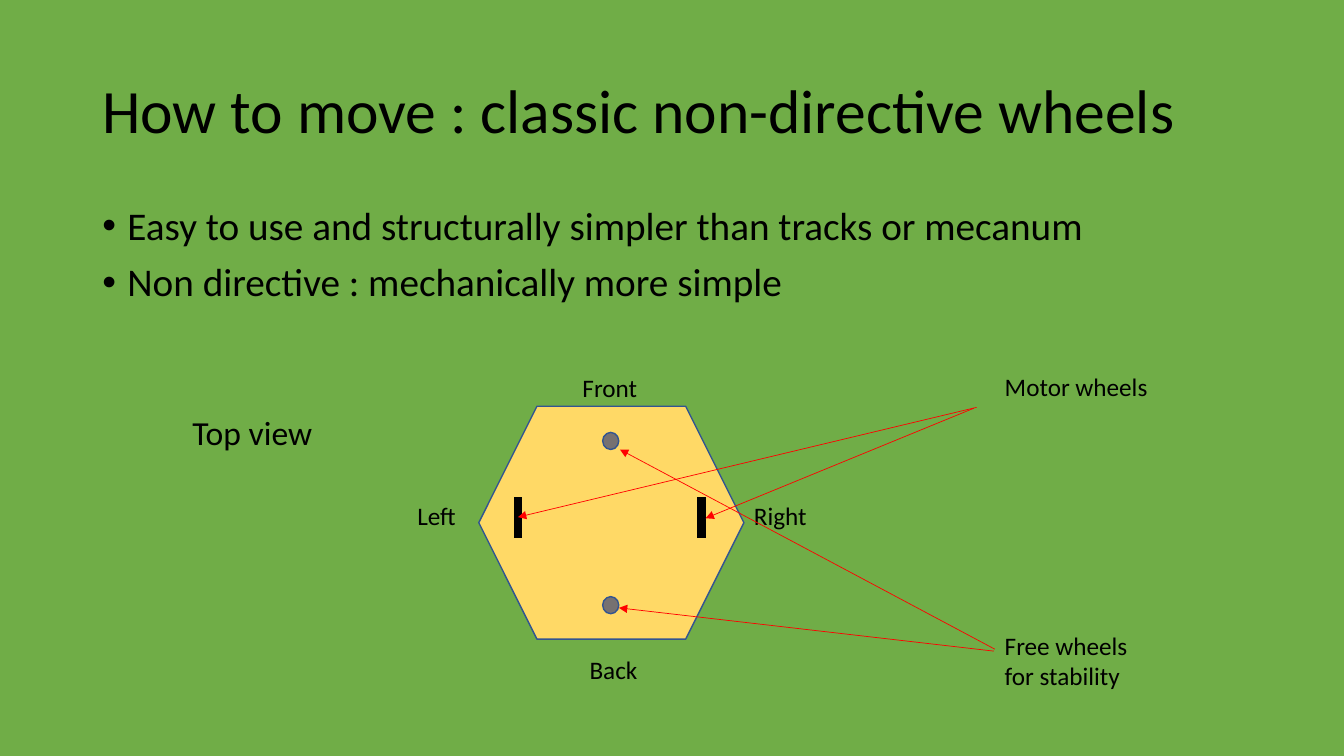
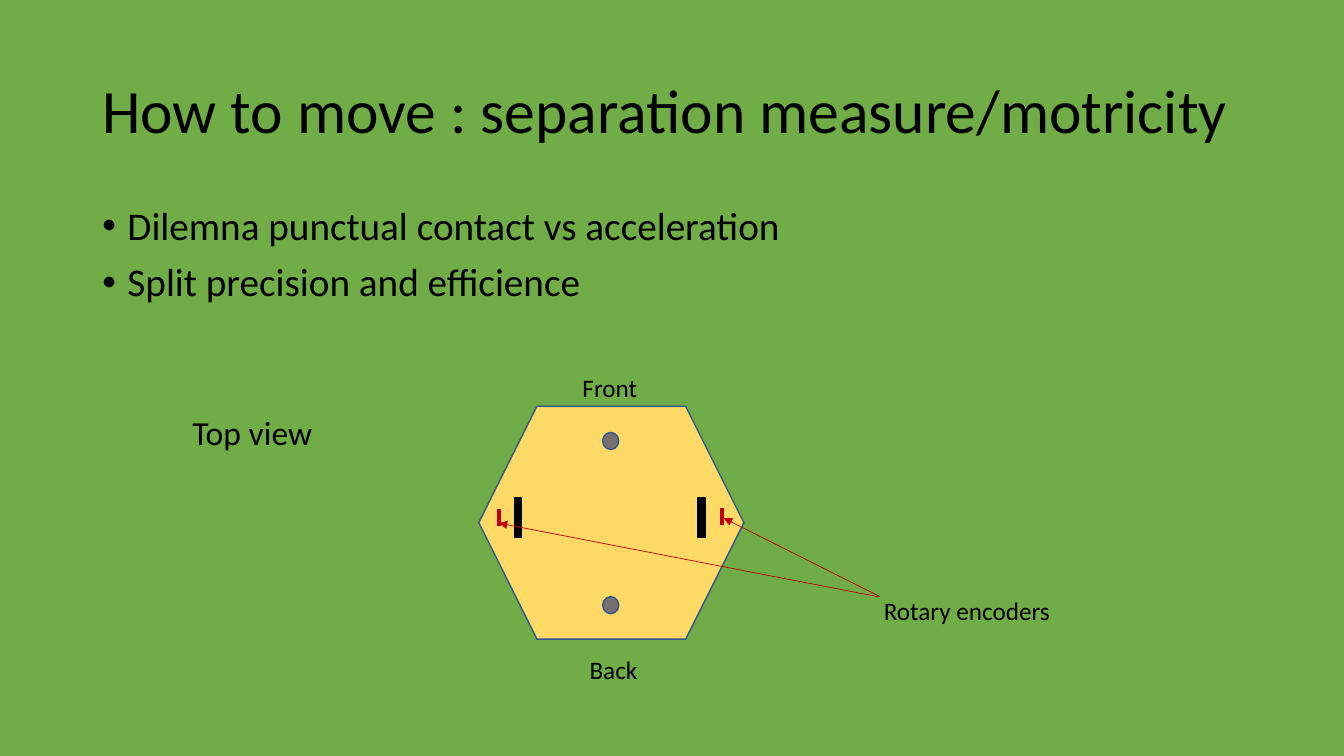
import pptx
import pptx.util
import pptx.dml.color
import pptx.enum.shapes
import pptx.enum.text
import pptx.oxml
import pptx.oxml.ns
import lxml.etree

Pt = pptx.util.Pt
qn = pptx.oxml.ns.qn
KIND = pptx.enum.shapes.MSO_SHAPE
FONT = "Calibri"
COLORS = {"back": "70AD47", "text": "000000", "body": "FFD966", "edge": "325491",
          "ball": "767171", "wheel": "000000", "arrow": "FF0000", "coder": "C00000"}
TITLE = (66, 29, 828, 104.4)
LIST = (66, 144, 828, 342.7)
ROBOT = (342, 290.2, 189.4, 166.3)


def color(name):
    """Return the named colour."""
    return pptx.dml.color.RGBColor.from_string(COLORS[name])


def text(slide, box, lines, size):
    """Add a wrapped text box and return its frame."""
    frame = slide.shapes.add_textbox(*map(Pt, box)).text_frame
    frame.word_wrap = True
    frame.text = lines
    for par in frame.paragraphs:
        for run in par.runs:
            run.font.size = Pt(size)
            run.font.name = FONT
            run.font.color.rgb = color("text")
    return frame


def shape(slide, kind, box, fill):
    """Add a filled shape with the shared outline."""
    part = slide.shapes.add_shape(kind, *map(Pt, box))
    part.shadow.inherit = False
    part.fill.solid()
    part.fill.fore_color.rgb = color(fill)
    part.line.color.rgb = color("edge")
    part.line.width = Pt(1)


def line(slide, start, end, name, width, head=False):
    """Add a straight line, with an arrowhead at its end if asked."""
    part = slide.shapes.add_connector(
        pptx.enum.shapes.MSO_CONNECTOR.STRAIGHT, *map(Pt, (*start, *end)))
    part.line.color.rgb = color(name)
    part.line.width = Pt(width)
    props = part._element.spPr
    if head:
        lxml.etree.SubElement(props.find(qn("a:ln")), qn("a:tailEnd"), type="triangle")
    lxml.etree.SubElement(props, qn("a:effectLst"))


def title(slide, box, words):
    """Add the slide title."""
    frame = text(slide, box, words, 44)
    frame.vertical_anchor = pptx.enum.text.MSO_ANCHOR.MIDDLE
    frame.paragraphs[0].line_spacing = 0.9


def bullets(slide, box, items):
    """Add the bulleted list."""
    for par in text(slide, box, "\n".join(items), 28).paragraphs:
        par.line_spacing = 0.9
        par.space_before = Pt(10)
        props = par._p.get_or_add_pPr()
        props.set("marL", str(Pt(18)))
        props.set("indent", str(-Pt(18)))
        lxml.etree.SubElement(props, qn("a:buFont"), typeface="Arial")
        lxml.etree.SubElement(props, qn("a:buChar"), char="\u2022")


def robot(slide, box, sides):
    """Draw the robot from above, with its wheels and labels."""
    left, top, wide, high = box
    shape(slide, KIND.HEXAGON, box, "body")
    for dx in (28, 159):
        line(slide, (left + dx, top + 65), (left + dx, top + 94.4), "wheel", 6)
    for dy in (18.7, 136):
        shape(slide, KIND.OVAL, (left + 88.5, top + dy, 11.5, 12.2), "ball")
    labels = [("Front", 67, -28, 122.4, 18), ("Back", 72, high + 7.2, 111.6, 18),
              ("Top view", -211.7, 0.7, 136.8, 24)]
    if sides:
        labels += [("Left", -51, 64, 130.3, 18), ("Right", wide, 64, 79.9, 18)]
    for words, dx, dy, span, size in labels:
        text(slide, (left + dx, top + dy, span, size * 1.6), words, size)


def coders(slide, box):
    """Mark the rotary encoders on the robot."""
    left, top = box[:2]
    for dx, dy in ((173.5, 72.7), (14.4, 73.4)):
        line(slide, (left + dx, top + dy), (left + dx, top + dy + 12.2), "coder", 3)


def note(slide, box, goal, words, name, ends):
    """Add a label with arrows from its box to points in the goal box."""
    for start, tip in ends:
        line(slide, (box[0] + start[0], box[1] + start[1]),
             (goal[0] + tip[0], goal[1] + tip[1]), name, 0.5, True)
    text(slide, box, words, 18)


def page(deck, head, items, sides=False):
    """Add a slide with title, list and robot."""
    slide = deck.slides.add_slide(deck.slide_layouts[6])
    title(slide, TITLE, head)
    bullets(slide, LIST, items)
    robot(slide, ROBOT, sides)
    return slide


def wheels(deck):
    """Build the slide on the wheels."""
    slide = page(deck, "How to move : classic non-directive wheels",
                 ["Easy to use and structurally simpler than tracks or mecanum",
                  "Non directive : mechanically more simple"], True)
    note(slide, (710.6, 262, 164.2, 28.8), ROBOT, "Motor wheels", "arrow",
         [((-15, 29.6), (162, 80)), ((-13, 29), (28, 79.2))])
    note(slide, (710.6, 446.4, 111.6, 51.1), ROBOT, "Free wheels for stability", "arrow",
         [((0, 17.3), (100.8, 30.9)), ((-0.7, 18.7), (100.1, 144))])


def split(deck):
    """Build the slide on measure and motricity."""
    slide = page(deck, "How to move : separation measure/motricity",
                 ["Dilemna punctual contact vs acceleration",
                  "Split precision and efficience"])
    coders(slide, ROBOT)
    note(slide, (624.2, 421.9, 176.4, 28.8), ROBOT, "Rotary encoders", "coder",
         [((2.9, 4.3), (14.4, 83.5)), ((4.4, 4.3), (175, 79.9))])


def main():
    """Build and save the deck."""
    deck = pptx.Presentation()
    deck.slide_width, deck.slide_height = Pt(960), Pt(540)
    fill = deck.slide_master.background.fill
    fill.solid()
    fill.fore_color.rgb = color("back")
    wheels(deck)
    split(deck)
    deck.save("out.pptx")


main()
